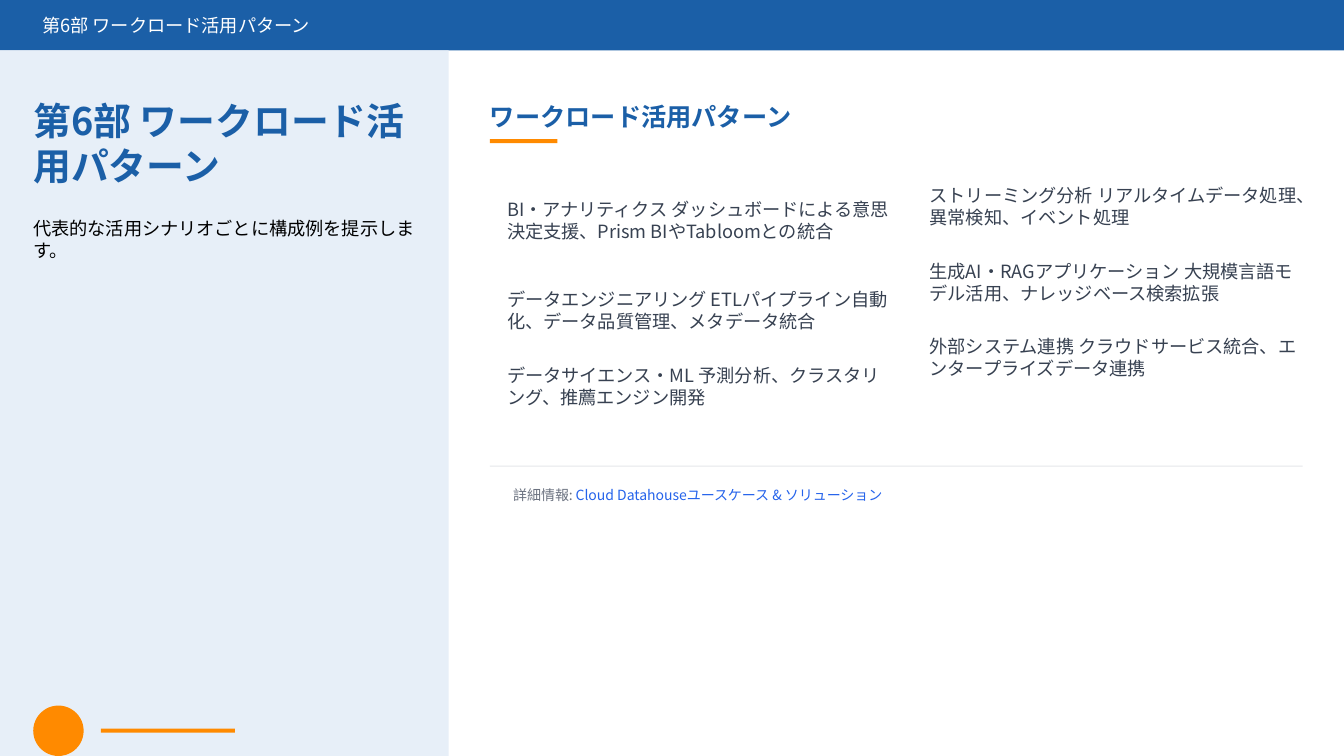
from lxml import etree
from pptx import Presentation
from pptx import util as u
from pptx.dml.color import RGBColor
from pptx.enum import shapes, text
from pptx.oxml import ns

BLUE = RGBColor(0x1B, 0x5F, 0xA7)
PALE = RGBColor(0xE7, 0xEF, 0xF8)
ORANGE = RGBColor(0xFF, 0x8A, 0x00)
WHITE = RGBColor(0xFF, 0xFF, 0xFF)
BLACK = RGBColor(0, 0, 0)
SLATE = RGBColor(0x37, 0x41, 0x51)
GRAY = RGBColor(0x6B, 0x72, 0x80)
RULE = RGBColor(0xE5, 0xE7, 0xEB)
LINK = RGBColor(0x25, 0x63, 0xEB)

PART = "第6部 ワークロード活用パターン"
LEFT = [
    "BI・アナリティクス ダッシュボードによる意思決定支援、Prism BIやTabloomとの統合",
    "データエンジニアリング ETLパイプライン自動化、データ品質管理、メタデータ統合",
    "データサイエンス・ML 予測分析、クラスタリング、推薦エンジン開発",
]
RIGHT = [
    "ストリーミング分析 リアルタイムデータ処理、異常検知、イベント処理",
    "生成AI・RAGアプリケーション 大規模言語モデル活用、ナレッジベース検索拡張",
    "外部システム連携 クラウドサービス統合、エンタープライズデータ連携",
]


class Deck:
    font = "Noto Sans CJK JP"

    def __init__(self):
        self.prs = Presentation()
        self.prs.slide_width = u.Inches(13.33)
        self.prs.slide_height = u.Inches(7.5)
        # Two Content layout: a title and two lists
        self.slide = self.prs.slides.add_slide(self.prs.slide_layouts[3])
        self.title, self.left, self.right = self.slide.placeholders

    def block(self, box, color, kind=shapes.MSO_SHAPE.RECTANGLE):
        item = self.slide.shapes.add_shape(kind, *map(u.Inches, box))
        item.shadow.inherit = False
        item.fill.solid()
        item.fill.fore_color.rgb = color
        item.line.fill.background()

    def frame(self, item, anchor):
        body = item.text_frame
        body.word_wrap = True
        body.auto_size = text.MSO_AUTO_SIZE.NONE
        body.vertical_anchor = anchor
        body.margin_left = body.margin_right = 0
        body.margin_top = body.margin_bottom = 0
        return body

    def style(self, para, size, color, bold=False):
        para.alignment = text.PP_ALIGN.LEFT
        font = para.font
        font.name = self.font
        font.size = u.Pt(size)
        font.bold = bold
        font.color.rgb = color
        east = etree.Element(ns.qn("a:ea"), typeface=self.font)
        font._element.find(ns.qn("a:latin")).addnext(east)

    def place(self, item, box):
        # Move a placeholder into position, in front of what is drawn so far
        item.left, item.top, item.width, item.height = map(u.Inches, box)
        self.slide.shapes._spTree.append(item._element)

    def fill(self, item, words, size, color, bold=False):
        body = self.frame(item, text.MSO_ANCHOR.MIDDLE)
        body.text = words
        self.style(body.paragraphs[0], size, color, bold)

    def head(self, box, words, size, color):
        self.place(self.title, box)
        self.fill(self.title, words, size, color, True)

    def label(self, box, words, size, color, bold=False):
        item = self.slide.shapes.add_textbox(*map(u.Inches, box))
        self.fill(item, words, size, color, bold)

    def items(self, item, box, lines, gaps):
        self.place(item, box)
        body = self.frame(item, text.MSO_ANCHOR.TOP)
        body.text = "\n".join(lines)
        for para, gap in zip(body.paragraphs, gaps):
            props = para._p.get_or_add_pPr()
            props.set("marL", "0")
            props.set("indent", "0")
            etree.SubElement(props, ns.qn("a:buNone"))
            para.space_before = u.Pt(gap)
            para.line_spacing = u.Pt(15.6)
            self.style(para, 13, SLATE)


def main():
    deck = Deck()

    # Header band
    deck.block((0, 0, 13.33, 0.5), BLUE)
    deck.label((0.42, 0.12, 2.91, 0.27), PART, 13, WHITE)

    # Side panel
    deck.block((0, 0.5, 4.45, 7), PALE)
    deck.head((0.33, 0.94, 3.97, 0.96), PART, 27, BLUE)
    deck.label((0.33, 2.09, 3.89, 0.56),
               "代表的な活用シナリオごとに構成例を提示します。", 13, BLACK)
    deck.block((0.33, 7, 0.5, 0.5), ORANGE, shapes.MSO_SHAPE.OVAL)
    deck.block((1, 7.23, 1.33, 0.04), ORANGE)

    # Section heading
    deck.label((4.86, 0.98, 3.18, 0.36), "ワークロード活用パターン", 18, BLUE, True)
    deck.block((4.86, 1.38, 0.67, 0.04), ORANGE)

    # Use cases
    deck.items(deck.left, (5.03, 1.97, 3.8, 2.14), LEFT, (0, 33.2, 22.8))
    deck.items(deck.right, (9.22, 1.83, 3.75, 2), RIGHT, (0, 22.8, 22.8))

    # Further reading
    deck.block((4.86, 4.62, 8.06, 0.01), RULE)
    deck.label((5.09, 4.8, 0.73, 0.21), "詳細情報:", 10, GRAY)
    deck.label((5.71, 4.8, 3.3, 0.21),
               "Cloud Datahouseユースケース & ソリューション", 10, LINK)

    deck.prs.save("out.pptx")


if __name__ == "__main__":
    main()
